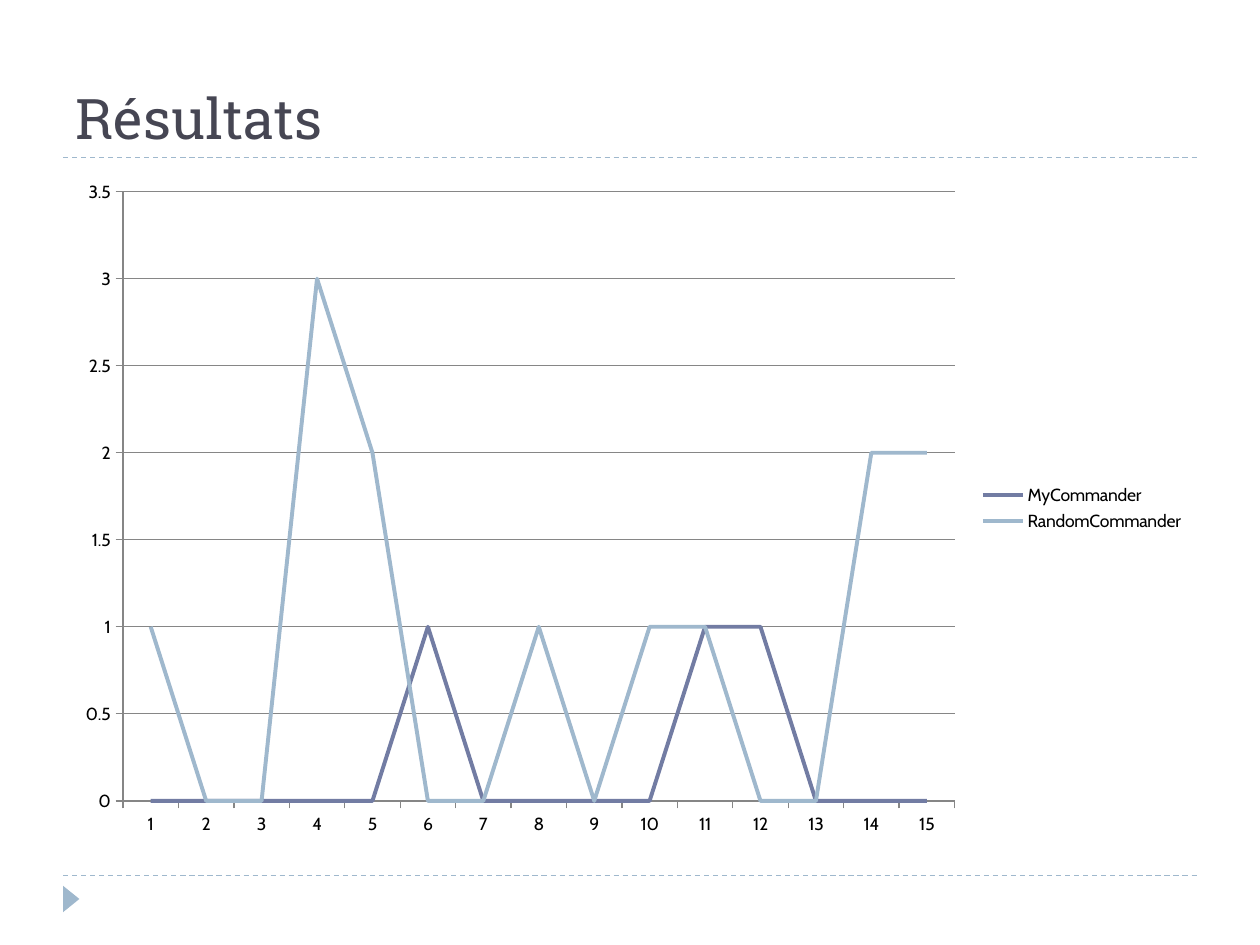
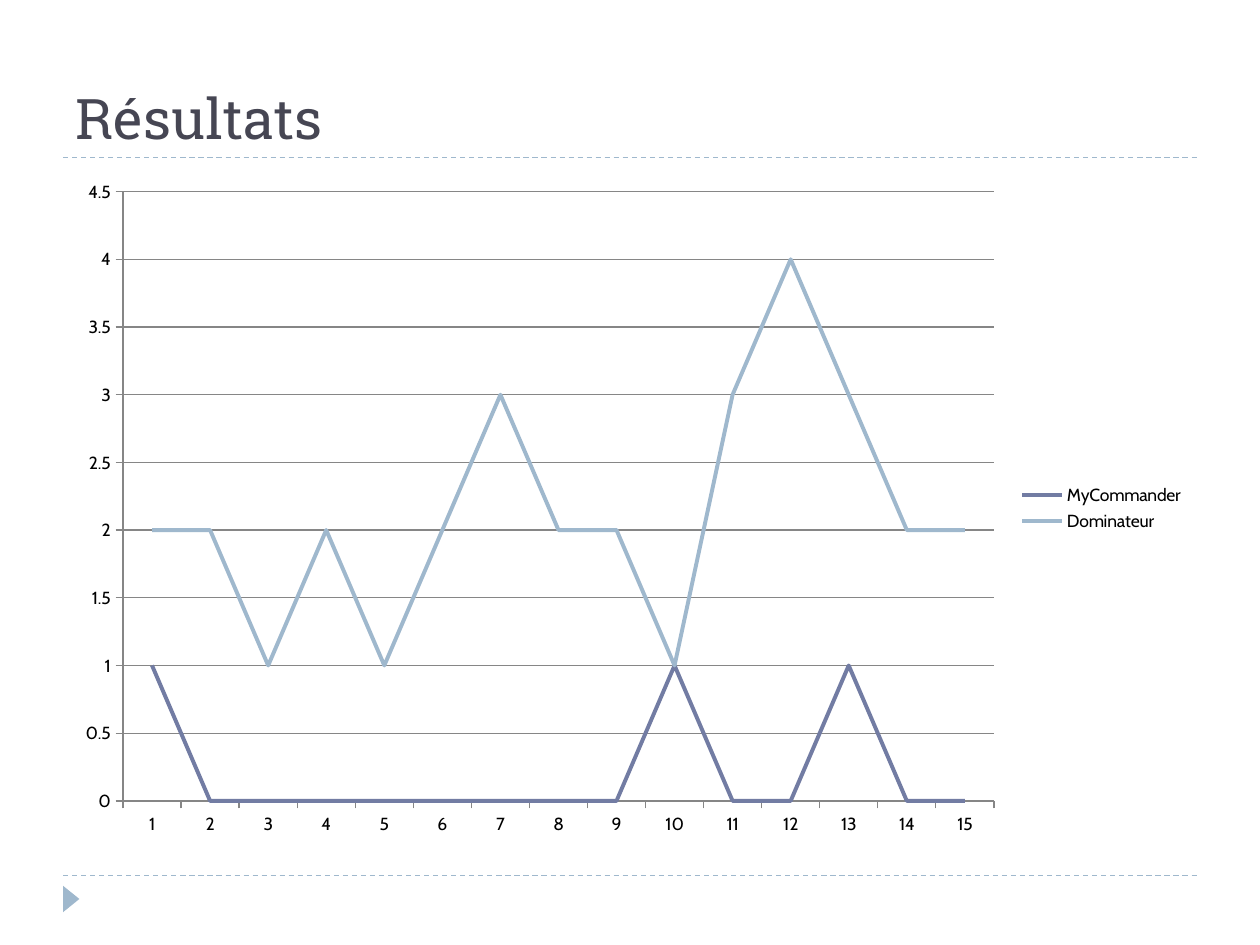
from dataclasses import dataclass
from pptx import Presentation
from pptx.chart.data import CategoryChartData as Data
from pptx.dml.color import RGBColor as RGB
from pptx.enum.chart import (XL_CHART_TYPE as Kind, XL_LEGEND_POSITION as Side,
                             XL_MARKER_STYLE as Mark, XL_TICK_MARK as Tick)
from pptx.enum.dml import MSO_LINE as Dash
from pptx.enum.shapes import MSO_CONNECTOR as Link, MSO_SHAPE as Form
from pptx.enum.text import MSO_ANCHOR as Anchor, MSO_AUTO_SIZE as Fit, PP_ALIGN as Align
from pptx.oxml.ns import qn
from pptx.util import Pt


@dataclass(frozen=True)
class Theme:
    ink: RGB = RGB.from_string("464653")
    text: RGB = RGB.from_string("000000")
    main: RGB = RGB.from_string("727CA3")
    soft: RGB = RGB.from_string("9FB8CD")
    grid: RGB = RGB.from_string("868686")
    head: str = "Roboto Slab"
    body: str = "Cabin"
    big: int = 32
    small: int = 10
    thin: float = 0.75
    bold: float = 2.25


theme = Theme()

# Boxes in points: left, top, width, height
TITLE = (36, 12.24, 648, 77.76)
CHART = (36, 95.76, 648, 388.8)
FOOT = (36, 500.4, 648, 24)


def put(item, **vals):
    for name, value in vals.items():
        setattr(item, name, value)


def font(item, face, size, color):
    put(item, name=face, size=Pt(size), bold=False)
    item.color.rgb = color


def stroke(line, color, width):
    line.color.rgb = color
    line.width = Pt(width)


def rule(slide, left, top, width):
    line = slide.shapes.add_connector(
        Link.STRAIGHT, Pt(left), Pt(top), Pt(left + width), Pt(top))
    stroke(line.line, theme.soft, theme.thin)
    line.line.dash_style = Dash.DASH
    props = line._element.spPr
    props.append(props.makeelement(qn("a:effectLst"), {}))


def title(slide, box, words):
    left, top, width, height = box
    shape = slide.shapes.title
    put(shape, left=Pt(left), top=Pt(top), width=Pt(width), height=Pt(height))
    frame = shape.text_frame
    put(frame, text=words, vertical_anchor=Anchor.BOTTOM,
        word_wrap=True, auto_size=Fit.NONE)
    para = frame.paragraphs[0]
    para.alignment = Align.LEFT
    font(para.runs[0].font, theme.head, theme.big, theme.ink)
    rule(slide, left, top + height, width)


def footer(slide, box):
    left, top, width, _ = box
    rule(slide, left, top, width)
    # Page marker, turned to point right
    mark = slide.shapes.add_shape(
        Form.ISOSCELES_TRIANGLE, Pt(left - 2.88), Pt(top + 8.64), Pt(15.12), Pt(9.36))
    mark.rotation = 90
    mark.shadow.inherit = False
    mark.fill.solid()
    mark.fill.fore_color.rgb = theme.soft
    mark.line.fill.background()


def graph(slide, box, rows, top):
    data = Data()
    data.categories = [str(n) for n in range(1, 16)]
    for name, vals in rows.items():
        data.add_series(name, vals)
    chart = slide.shapes.add_chart(
        Kind.LINE, *(Pt(n) for n in box), data).chart
    put(chart, has_title=False, has_legend=True)
    font(chart.font, theme.body, theme.small, theme.text)
    put(chart.legend, position=Side.RIGHT, include_in_layout=False)

    # Axes and grid
    cat, val = chart.category_axis, chart.value_axis
    for axis in (cat, val):
        put(axis, major_tick_mark=Tick.OUTSIDE, minor_tick_mark=Tick.NONE)
        stroke(axis.format.line, theme.grid, theme.thin)
    put(cat, has_major_gridlines=False)
    put(val, has_major_gridlines=True, minimum_scale=0,
        maximum_scale=top, major_unit=0.5)
    stroke(val.major_gridlines.format.line, theme.grid, theme.thin)

    # Series
    plot = chart.plots[0]
    plot.vary_by_categories = False
    for line, color in zip(plot.series, (theme.main, theme.soft)):
        line.smooth = False
        line.marker.style = Mark.NONE
        stroke(line.format.line, color, theme.bold)


def result(deck, rows, top):
    slide = deck.slides.add_slide(deck.slide_layouts[5])
    footer(slide, FOOT)
    title(slide, TITLE, "Résultats")
    graph(slide, CHART, rows, top)


# Values per game and the top of the scale, one entry per slide
GAMES = [
    ({"MyCommander": (0, 0, 0, 0, 0, 1, 0, 0, 0, 0, 1, 1, 0, 0, 0),
      "RandomCommander": (1, 0, 0, 3, 2, 0, 0, 1, 0, 1, 1, 0, 0, 2, 2)}, 3.5),
    ({"MyCommander": (1, 0, 0, 0, 0, 0, 0, 0, 0, 1, 0, 0, 1, 0, 0),
      "Dominateur": (2, 2, 1, 2, 1, 2, 3, 2, 2, 1, 3, 4, 3, 2, 2)}, 4.5),
]

deck = Presentation()
put(deck, slide_width=Pt(720), slide_height=Pt(540))
for rows, top in GAMES:
    result(deck, rows, top)
deck.save("out.pptx")
